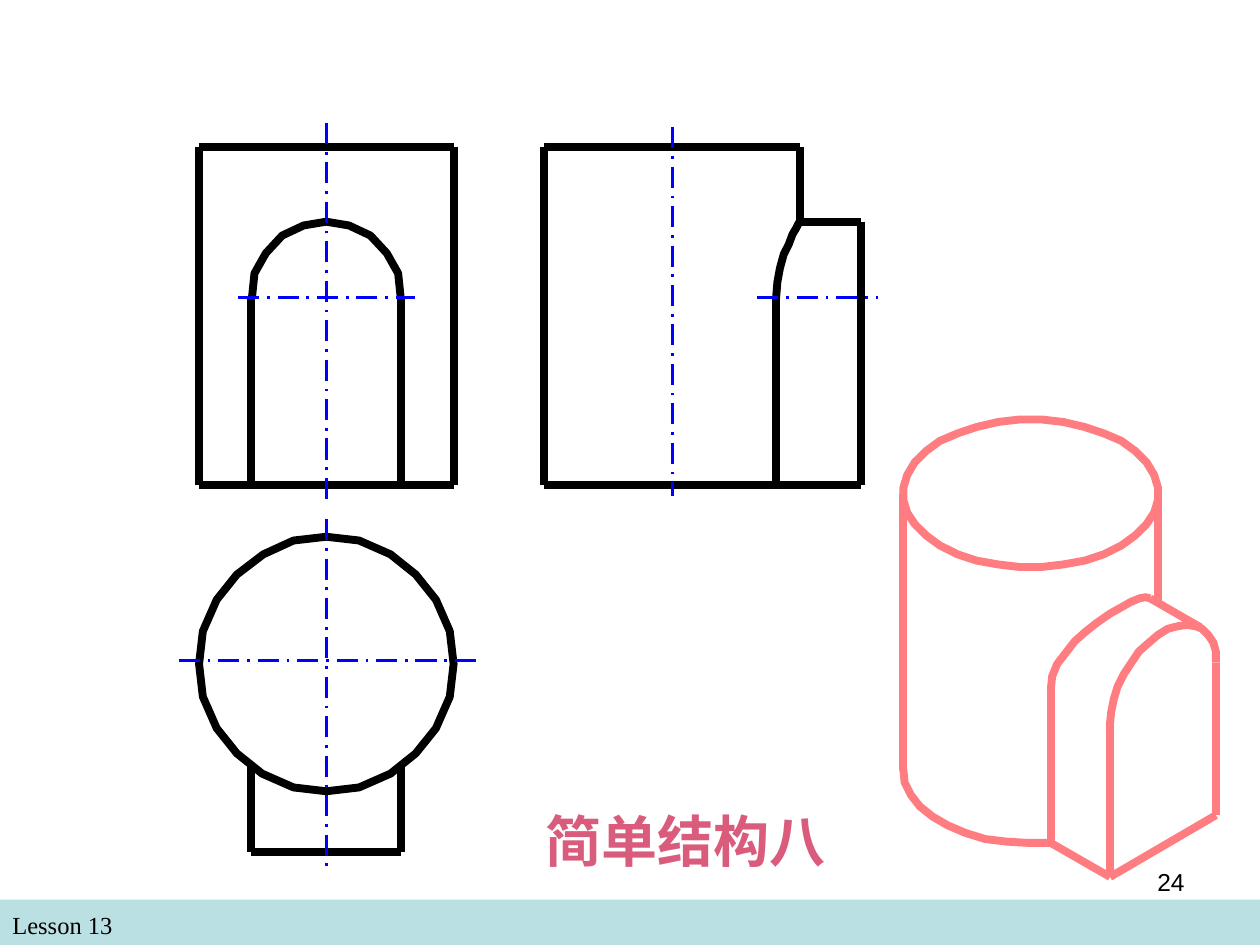
from math import cos, radians, sin

from lxml import etree
from pptx import Presentation
from pptx.dml.color import RGBColor
from pptx.enum.dml import MSO_LINE
from pptx.enum.shapes import MSO_CONNECTOR, MSO_SHAPE
from pptx.enum.text import PP_ALIGN
from pptx.oxml.ns import qn
from pptx.util import Inches, Pt

BLACK = RGBColor(0x00, 0x00, 0x00)
BLUE = RGBColor(0x00, 0x00, 0xFF)
PINK = RGBColor(0xFF, 0x7C, 0x80)
ROSE = RGBColor(0xDA, 0x5C, 0x7D)
TEAL = RGBColor(0xBB, 0xE0, 0xE3)
DASH = MSO_LINE.LONG_DASH_DOT
RECT = MSO_SHAPE.RECTANGLE
LINE = MSO_CONNECTOR.STRAIGHT
LEFT, MID, RIGHT = PP_ALIGN.LEFT, PP_ALIGN.CENTER, PP_ALIGN.RIGHT

# The slide is a grid of 1000 columns by 750 rows.
CELL = Inches(0.01)
COLS, ROWS = 1000, 750

deck = Presentation()
deck.slide_width, deck.slide_height = COLS * CELL, ROWS * CELL
slide = deck.slides.add_slide(deck.slide_layouts[6])
shapes = slide.shapes


def draw(points, color, width=4.5, dash=None):
    """Draw a line through two grid points, or an open outline through more."""
    if len(points) == 2:
        (x1, y1), (x2, y2) = points
        item = shapes.add_connector(LINE, x1 * CELL, y1 * CELL, x2 * CELL, y2 * CELL)
        etree.SubElement(item._element.spPr, qn("a:effectLst"))
    else:
        path = shapes.build_freeform(*points[0], scale=CELL)
        path.add_line_segments(points[1:], close=False)
        item = path.convert_to_shape()
        item.fill.background()
        item.shadow.inherit = False
    item.line.color.rgb = color
    item.line.width = Pt(width)
    if dash:
        item.line.dash_style = dash


def arc(x, y, rx, ry, start, step, count):
    """List points on an ellipse, with angles in degrees turning clockwise."""
    turns = [radians(start + step * i) for i in range(count + 1)]
    return [(x + rx * cos(t), y + ry * sin(t)) for t in turns]


# Footer band
band = shapes.add_shape(RECT, 0, 714 * CELL, COLS * CELL, 36 * CELL)
band.shadow.inherit = False
band.fill.solid()
band.fill.fore_color.rgb = TEAL
band.line.fill.background()

# Solid view: cylinder with an arched block in front
top, foot = 391.7, 611
west, east = 717, 919
axis = 818
inner, front, side = 834, 881, 965
solid = [
    arc(axis, top, 101.3, 58.5, 125, -10, 36),
    [(965, 526), (965, 517), (963, 510), (959, 504), (954, 499), (949, 497),
     (942, 496), (935, 497), (927, 499), (919, 504), (912, 510), (904, 517),
     (898, 526), (892, 535), (887, 545), (884, 555), (882, 565), (881, 574)],
    [(834, 547), (835, 537), (839, 527), (846, 518), (853, 509), (862, 501),
     (871, 494), (881, 487), (890, 482), (897, 478), (904, 475), (909, 474),
     (913, 475)],
    [(inner, 669), (inner, 547)],
    [(front, 696), (front, 574)],
    [(side, 526), (side, 647)],
    arc(axis, foot, 101.3, 58.5, 180, -9.9, 10),
    [(inner, 669), (front, 696)],
    [(front, 696), (side, 647)],
    [(953, 498), (913, 475)],
    [(east, 479), (east, 392)],
    [(west, 392), (west, foot)],
]
for points in solid:
    draw(points, PINK)

# Front, top and side views share these columns and rows
mid, wide, half = 259, 101, 59.5
west, east = 158, 360
near, far = 199, 318
roof, crown, spring, base = 117, 176, 236, 385
hub, joint, end = 527, 609, 676
back, curve, wall, face = 432, 616, 635, 683
views = [
    [(west, roof), (east, roof)],
    arc(mid, spring, half, 60, 0, -18, 10),
    [(near, base), (near, spring)],
    [(far, spring), (far, base)],
    [(west, base), (east, base)],
    [(east, base), (east, roof)],
    [(west, roof), (west, base)],
    arc(mid, hub, wide, wide, 0, -15, 24),
    [(far, end), (near, end)],
    [(near, joint), (near, end)],
    [(far, joint), (far, end)],
    [(back, roof), (wall, roof)],
    [(face, crown), (face, base)],
    [(616, 236), (617, 224), (619, 213), (622, 202), (626, 194), (629, 186),
     (632, 181), (634, 177), (635, 176)],
    [(curve, base), (curve, spring)],
    [(back, base), (face, base)],
    [(face, crown), (wall, crown)],
    [(wall, crown), (wall, roof)],
    [(back, roof), (back, base)],
]
for points in views:
    draw(points, BLACK)

# Centre lines
centres = [
    [(mid, 396), (mid, 92)],
    [(mid, 412), (mid, 691)],
    [(142, 524), (379, 524)],
    [(534, 101), (534, 394)],
    [(189, spring), (329, spring)],
    [(601, spring), (697, spring)],
]
for points in centres:
    draw(points, BLUE, 1.5, DASH)

# Labels: text, box, size, font, colour, bold, alignment
labels = [
    ("Lesson 13", (0, 717, 483, 34), 14, "Times New Roman", BLACK, False, LEFT),
    ("简单结构八", (327, 635, 435, 64), 32, "Times New Roman", ROSE, True, MID),
    ("24", (717, 683, 233, 52), 14, "Arial", BLACK, False, RIGHT),
]
for text, box, size, face, color, bold, align in labels:
    frame = shapes.add_textbox(*[n * CELL for n in box]).text_frame
    frame.word_wrap = True
    frame.text = text
    para = frame.paragraphs[0]
    para.alignment = align
    font = para.runs[0].font
    font.size, font.name, font.bold = Pt(size), face, bold
    font.color.rgb = color

deck.save("out.pptx")
